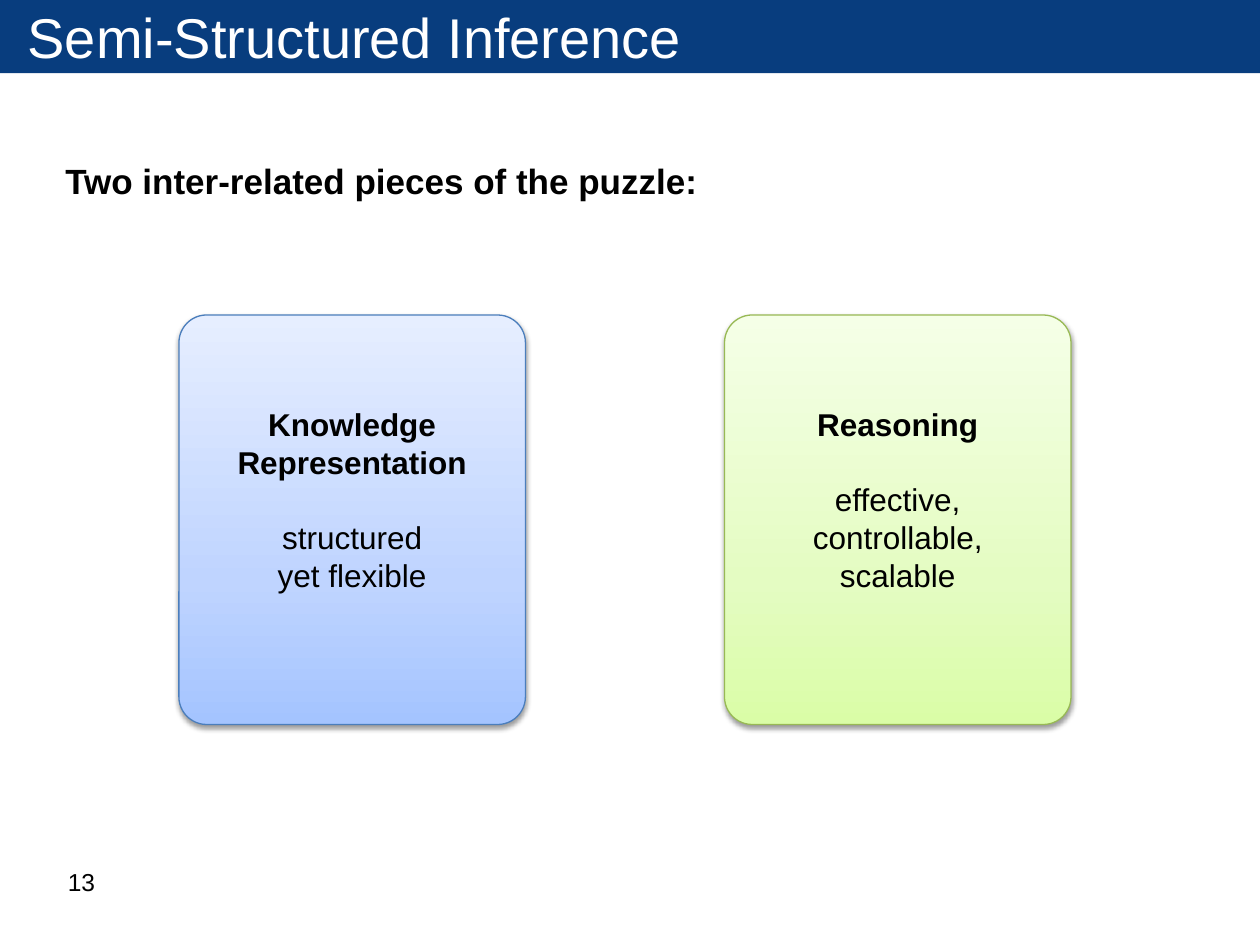
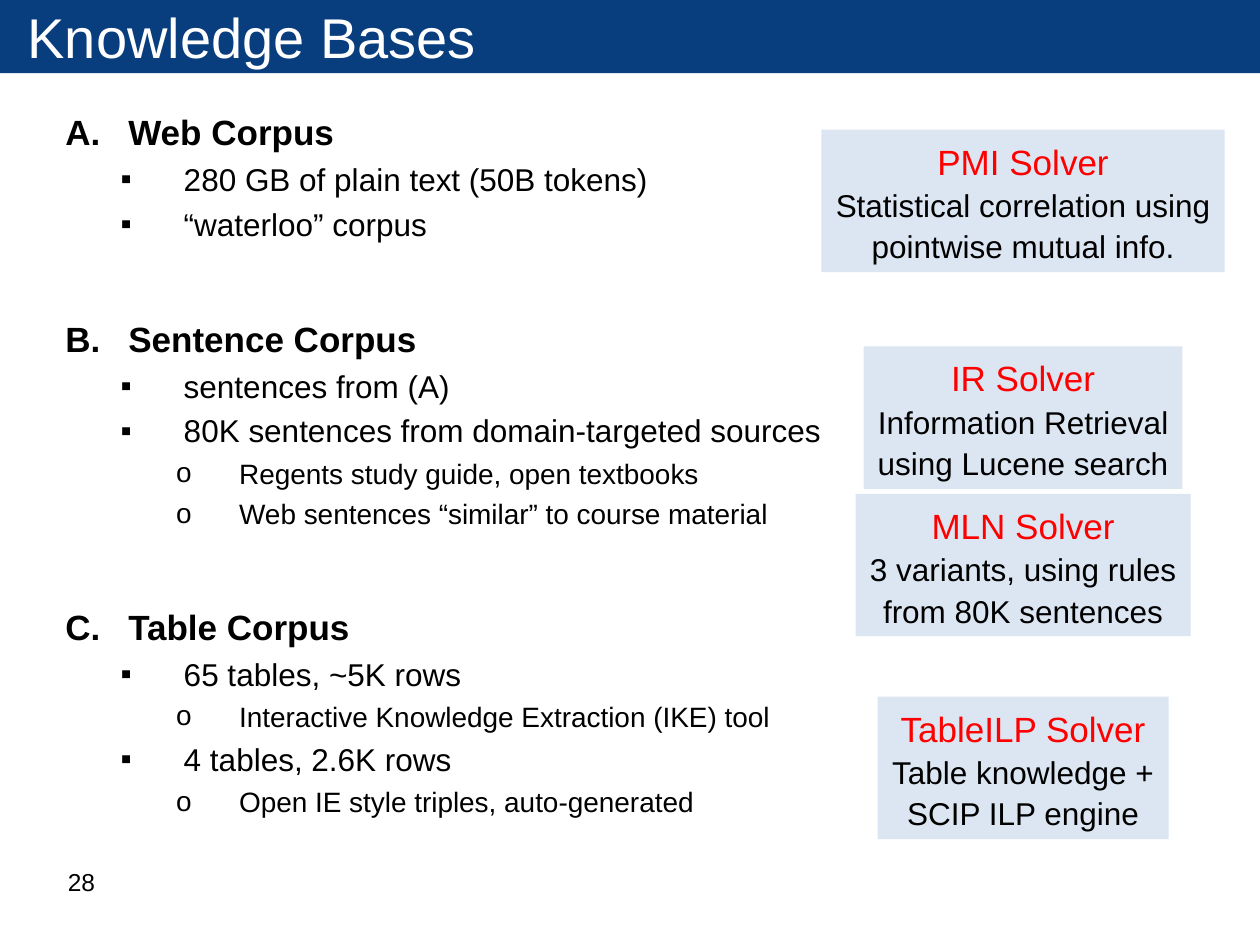
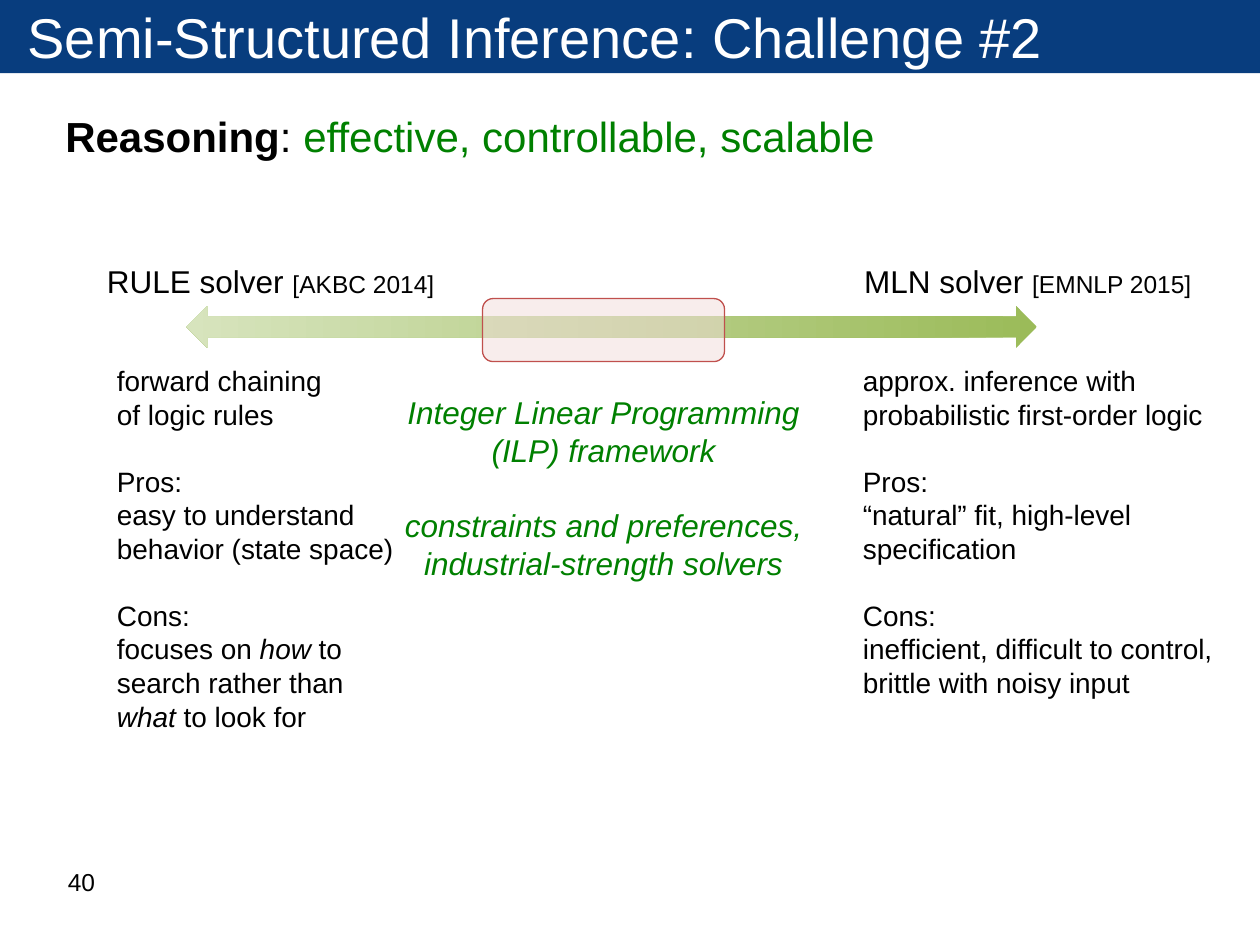
from lxml import etree
from pptx import Presentation
from pptx.dml.color import RGBColor
from pptx.enum.shapes import MSO_SHAPE
from pptx.enum.text import MSO_ANCHOR, PP_ALIGN
from pptx.oxml.ns import qn
from pptx.util import Inches, Pt

RECT, ROUND, ARROW = MSO_SHAPE.RECTANGLE, MSO_SHAPE.ROUNDED_RECTANGLE, MSO_SHAPE.LEFT_RIGHT_ARROW
LEFT, CENTER = PP_ALIGN.LEFT, PP_ALIGN.CENTER
TOP, MIDDLE = MSO_ANCHOR.TOP, MSO_ANCHOR.MIDDLE

FONT = "Arial"
BLACK = RGBColor(0x00, 0x00, 0x00)
WHITE = RGBColor(0xFF, 0xFF, 0xFF)
NAVY = RGBColor(0x08, 0x3D, 0x7E)
RED = RGBColor(0xFF, 0x00, 0x00)
GREEN = RGBColor(0x00, 0x80, 0x00)
PALE_BLUE = RGBColor(0xDC, 0xE6, 0xF2)
PALE_RED = RGBColor(0xF2, 0xDC, 0xDB)
BRICK = RGBColor(0xC0, 0x50, 0x4D)
BLUE_EDGE = RGBColor(0x4B, 0x7E, 0xBC)
LIME_EDGE = RGBColor(0x98, 0xB9, 0x55)
BLUE_FADE = [(0, "A4C4FF"), (35, "BFD4FF"), (100, "E6EEFF")]
LIME_FADE = [(0, "DAFDA7"), (35, "E4FCC2"), (100, "F5FFE7")]
ARROW_FADE = [(0, "9BBB59"), (100, "D7E4BD")]

BOLD, ITALIC = {"bold": True}, {"italic": True}

# A paragraph is a string or a list of (text, format) runs; "\n" is a line break.
CARDS = [
    (1.42, BLUE_FADE, BLUE_EDGE, "Knowledge\nRepresentation", "structured\nyet flexible"),
    (5.75, LIME_FADE, LIME_EDGE, "Reasoning", "effective,\ncontrollable,\nscalable"),
]

CORPORA = [
    (0, "Web Corpus"),
    (1, "280 GB of plain text (50B tokens)"),
    (1, "“waterloo” corpus"),
    (0, "Sentence Corpus"),
    (1, "sentences from (A)"),
    (1, "80K sentences from domain-targeted sources"),
    (2, "Regents study guide, open textbooks"),
    (2, "Web sentences “similar” to course material"),
    (0, "Table Corpus"),
    (1, "65 tables, ~5K rows"),
    (2, "Interactive Knowledge Extraction (IKE) tool"),
    (1, "4 tables, 2.6K rows"),
    (2, "Open IE style triples, auto-generated"),
]
# level: (text size, left indent, bullet tag, bullet attributes)
LEVELS = [
    (20, 0.5, "a:buAutoNum", {"type": "alphaUcPeriod"}),
    (18, 0.94, "a:buChar", {"char": "▪"}),
    (16, 1.38, "a:buChar", {"char": "o"}),
]
HANGING = 0.5

SOLVERS = [  # top, width, name, description
    (1.03, 3.2, "PMI Solver", "Statistical correlation using\npointwise mutual info."),
    (2.75, 2.53, "IR Solver", "Information Retrieval\nusing Lucene search"),
    (3.92, 2.66, "MLN Solver", "3 variants, using rules\nfrom 80K sentences"),
    (5.53, 2.31, "TableILP Solver", "Table knowledge +\nSCIP ILP engine"),
]
SOLVER_CENTER, SOLVER_HEIGHT = 8.12, 1.13

ENDS = [  # label left, column left, column width, name, venue, paragraphs
    (0.75, 0.83, 2.6, "RULE solver ", "[AKBC 2014]", [
        "forward chaining\nof logic rules",
        "Pros:\neasy to understand\nbehavior (state space)",
        [("Cons:\nfocuses on ", {}), ("how", ITALIC), (" to\nsearch rather than\n", {}),
         ("what", ITALIC), (" to look for", {})],
    ]),
    (6.76, 6.75, 3.01, "MLN solver ", "[EMNLP 2015]", [
        "approx. inference with\nprobabilistic first-order logic",
        "Pros:\n“natural” fit, high-level\nspecification",
        "Cons:\ninefficient, difficult to control,\nbrittle with noisy input",
    ]),
]
ILP = ["Integer Linear Programming\n(ILP) framework",
       "constraints and preferences,\nindustrial-strength solvers"]


def style(font, size=None, color=None, bold=None, italic=None):
    font.name = FONT
    if size:
        font.size = Pt(size)
    if color is not None:
        font.color.rgb = color
    font.bold, font.italic = bold, italic


def write(sp, paras, size=18, color=BLACK, align=LEFT, anchor=TOP, gap=0, spacing=None,
          margins=(0.1, 0.05), bold=None, italic=None):
    """Fill a shape with paragraphs; gap is the space in points between them."""
    tf = sp.text_frame
    tf.word_wrap, tf.vertical_anchor = True, anchor
    tf.margin_left = tf.margin_right = Inches(margins[0])
    tf.margin_top = tf.margin_bottom = Inches(margins[1])
    for i, para in enumerate(paras):
        p = tf.add_paragraph() if i else tf.paragraphs[0]
        p.alignment = align
        if i and gap:
            p.space_before = Pt(gap)
        if spacing:
            p.line_spacing = spacing
        for text, fmt in [(para, {})] if isinstance(para, str) else para:
            base = {"size": size, "color": color, "bold": bold, "italic": italic}
            for n, line in enumerate(text.split("\n")):
                if n:
                    p.add_line_break()
                if line:
                    r = p.add_run()
                    r.text = line
                    style(r.font, **{**base, **fmt})
    return tf


def add_text(s, box, paras, **fmt):
    return write(s.shapes.add_textbox(*map(Inches, box)), paras, **fmt)


def add_shape(s, kind, box, fill=None, line=None):
    sp = s.shapes.add_shape(kind, *map(Inches, box))
    sp.shadow.inherit = False
    if fill is not None:
        sp.fill.solid()
        sp.fill.fore_color.rgb = fill
    if line is None:
        sp.line.fill.background()
    else:
        sp.line.color.rgb = line
        sp.line.width = Pt(0.75)
    return sp


def add_color(parent, rgb, alpha=None):
    clr = etree.SubElement(parent, qn("a:srgbClr"), val=rgb)
    if alpha:
        etree.SubElement(clr, qn("a:alpha"), val=str(alpha * 1000))


def fade(sp, stops, angle):
    sp.fill.gradient()
    sp.fill.gradient_angle = angle
    gs_list = next(sp._element.spPr.iter(qn("a:gsLst")))
    for gs in list(gs_list):
        gs_list.remove(gs)
    for pos, rgb in stops:
        add_color(etree.SubElement(gs_list, qn("a:gs"), pos=str(pos * 1000)), rgb)


def cast_shadow(sp):
    effects = sp._element.spPr.find(qn("a:effectLst"))
    shadow = etree.SubElement(effects, qn("a:outerShdw"), blurRad=str(Pt(3.1)),
                              dist=str(Pt(1.6)), dir="5400000", rotWithShape="0")
    add_color(shadow, "000000", 38)


def add_slide(prs, title, number):
    s = prs.slides.add_slide(prs.slide_layouts[6])
    band = add_shape(s, RECT, (0, 0, 10, 0.58), NAVY)
    write(band, [title], size=32, color=WHITE, anchor=MIDDLE, margins=(0.22, 0))
    add_text(s, (0.44, 6.83, 2.33, 0.52), [number], size=14)
    return s


def add_outline(s):
    tf = add_text(s, (0.42, 0.83, 9.17, 5.87), [text for _, text in CORPORA])
    for i, (p, (level, _)) in enumerate(zip(tf.paragraphs, CORPORA)):
        size, indent, tag, attrs = LEVELS[level]
        p.level = level
        if i:
            p.space_before = Pt(4 if level else 43)
        pPr = p._p.get_or_add_pPr()
        pPr.set("marL", str(Inches(indent)))
        pPr.set("indent", str(-Inches(HANGING)))
        etree.SubElement(pPr, qn("a:buFont"), typeface=FONT)
        etree.SubElement(pPr, qn(tag), **attrs)
        style(p.runs[0].font, size=size, bold=level == 0)


def puzzle_slide(prs):
    s = add_slide(prs, "Semi-Structured Inference", "13")
    add_text(s, (0.42, 1.22, 9.17, 0.5), ["Two inter-related pieces of the puzzle:"],
             size=20, bold=True)
    for left, stops, edge, name, traits in CARDS:
        card = add_shape(s, ROUND, (left, 2.5, 2.75, 3.25), line=edge)
        card.adjustments[0] = 0.08
        fade(card, stops, 90)
        cast_shadow(card)
        write(card, [[(name, BOLD)], traits], align=CENTER, gap=21.5, margins=(0.1, 0.65))


def knowledge_slide(prs):
    s = add_slide(prs, "Knowledge Bases", "28")
    add_outline(s)
    for top, width, name, description in SOLVERS:
        box = (SOLVER_CENTER - width / 2, top, width, SOLVER_HEIGHT)
        write(add_shape(s, RECT, box, PALE_BLUE),
              [[(name, {"size": 20, "color": RED})], description], align=CENTER, spacing=1.1)


def challenge_slide(prs):
    s = add_slide(prs, "Semi-Structured Inference: Challenge #2", "40")
    add_text(s, (0.42, 0.83, 9.17, 0.92),
             [[("Reasoning", BOLD), (": ", {}),
               ("effective, controllable, scalable", {"color": GREEN})]], size=24)
    fade(add_shape(s, ARROW, (1.48, 2.43, 6.75, 0.33)), ARROW_FADE, 180)
    for label_left, left, width, name, venue, paras in ENDS:
        add_text(s, (label_left, 2.03, 2.82, 0.4), [[(name, {}), (venue, {"size": 14})]])
        add_text(s, (left, 2.84, width, 3.06), paras, size=16, gap=19)
    add_text(s, (3, 3.07, 3.58, 1.62), ILP, color=GREEN, italic=True, align=CENTER, gap=21.5)
    middle = add_shape(s, ROUND, (3.83, 2.37, 1.92, 0.5), PALE_RED, BRICK)
    tint = middle._element.spPr.find(qn("a:solidFill"))[0]
    etree.SubElement(tint, qn("a:alpha"), val="50000")


def main():
    prs = Presentation()
    prs.slide_width, prs.slide_height = Inches(10), Inches(7.5)
    puzzle_slide(prs)
    knowledge_slide(prs)
    challenge_slide(prs)
    prs.save("out.pptx")


if __name__ == "__main__":
    main()
